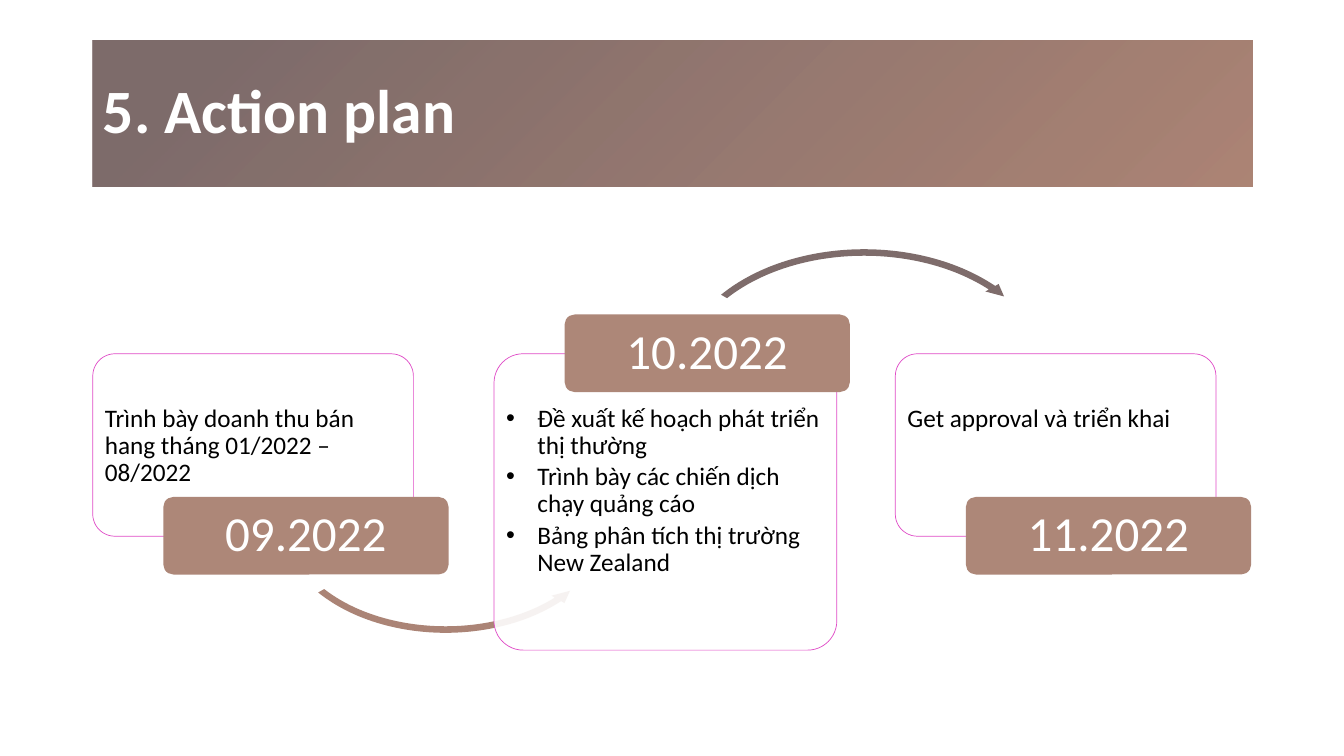
from dataclasses import dataclass
from typing import Optional

from lxml.etree import SubElement
from pptx import Presentation
from pptx.dml.color import RGBColor as RGB
from pptx.enum.shapes import MSO_SHAPE as SHAPE
from pptx.enum.text import MSO_ANCHOR as ANCHOR, MSO_AUTO_SIZE as AUTO, PP_ALIGN as ALIGN
from pptx.oxml import parse_xml
from pptx.oxml.ns import nsdecls, qn
from pptx.util import Inches, Pt


@dataclass(frozen=True)
class Theme:
    font: str = "Calibri"
    title_size: int = 44
    tag_size: int = 35
    body_size: int = 18
    white: str = "FFFFFF"
    black: str = "000000"
    tag: str = "AD8778"
    border: str = "E04CC7"
    arrow_dark: str = "7E6C6B"
    arrow_light: str = "AB8476"
    title_near: str = "9E6E5C"
    title_far: str = "675251"


@dataclass(frozen=True)
class Arrow:
    kind: SHAPE
    box: tuple[float, float, float, float]
    adjustments: tuple[float, ...]
    color: str


@dataclass(frozen=True)
class Step:
    date: str
    lines: tuple[str, ...]
    tag_top: float = 4.93
    size: tuple[float, float] = (3.18, 1.81)
    radius: float = 0.22
    bulleted: bool = False
    arrow: Optional[Arrow] = None


T = Theme()
LEFT, PITCH, CARD_TOP = 0.92, 3.98, 3.51
TAG_SHIFT, TAG_SIZE, TAG_RADIUS = 0.7, (2.83, 0.77), 0.1
CORNER_INSET = 0.29

STEPS = (
    Step("09.2022", ("Trình bày doanh thu bán hang tháng 01/2022 – 08/2022",),
         arrow=Arrow(SHAPE.LEFT_CIRCULAR_ARROW, (2.73, 4, 3.38, 2.32),
                     (0.028, 3.372, 21.127, 90.245, 0.032), T.arrow_light)),
    Step("10.2022", ("Đề xuất kế hoạch phát triển thị thường",
                     "Trình bày các chiến dịch chạy quảng cáo",
                     "Bảng phân tích thị trường New Zealand"),
         tag_top=3.12, size=(3.4, 2.94), radius=0.29, bulleted=True,
         arrow=Arrow(SHAPE.CIRCULAR_ARROW, (6.68, 2.43, 3.78, 2.6),
                     (0.025, 2.989, 195.256, 125.755, 0.029), T.arrow_dark)),
    Step("11.2022", ("Get approval và triển khai",)),
)


def add_filled(slide, kind: SHAPE, box: tuple[float, ...], color: str):
    """Add a borderless, shadowless shape with a solid fill."""
    sp = slide.shapes.add_shape(kind, *map(Inches, box))
    sp.shadow.inherit = False
    sp.fill.solid()
    sp.fill.fore_color.rgb = RGB.from_string(color)
    sp.line.fill.background()
    return sp


def add_rounded(slide, box: tuple[float, ...], radius: float, color: str,
                insets: tuple[float, float, float, float]):
    """Add a rounded box whose insets are measured from its outer edges."""
    sp = add_filled(slide, SHAPE.ROUNDED_RECTANGLE, box, color)
    sp.adjustments[0] = radius / min(box[2:])
    tf = sp.text_frame
    tf.word_wrap = True
    tf.margin_left, tf.margin_top, tf.margin_right, tf.margin_bottom = (
        Inches(i - radius * CORNER_INSET) for i in insets)
    return sp


def format_text(p, size: int, color: str, align: ALIGN, bold: bool = False) -> None:
    """Apply the common text look to a paragraph."""
    p.alignment = align
    p.line_spacing = 0.9
    for r in p.runs:
        r.font.name, r.font.size, r.font.bold = T.font, Pt(size), bold
        r.font.color.rgb = RGB.from_string(color)


def add_bullet(p) -> None:
    """Give a paragraph a hanging round bullet."""
    pPr = p._p.get_or_add_pPr()
    pPr.set("marL", str(Inches(0.31)))
    pPr.set("indent", str(Inches(-0.31)))
    SubElement(pPr, qn("a:buFont"), typeface="Arial")
    SubElement(pPr, qn("a:buChar"), char="•")


def add_card(slide, step: Step, left: float) -> None:
    """Draw the outlined card with the tasks of a step."""
    sp = add_rounded(slide, (left, CARD_TOP, *step.size), step.radius, T.white,
                     (0.12, 0.51, 0.12, 0.12))
    color = sp.element.spPr.find(qn("a:solidFill"))[0]
    SubElement(color, qn("a:alpha"), val="90000")
    sp.line.color.rgb = RGB.from_string(T.border)
    sp.line.width = Pt(0.5)
    tf = sp.text_frame
    tf.vertical_anchor = ANCHOR.TOP
    tf.text = "\n".join(step.lines)
    for p in tf.paragraphs:
        if step.bulleted:
            add_bullet(p)
        format_text(p, T.body_size, T.black, ALIGN.LEFT)
        p.space_after = Pt(3)


def add_arrow(slide, arrow: Arrow) -> None:
    """Draw the curved arrow leading to the next step."""
    sp = add_filled(slide, arrow.kind, arrow.box, arrow.color)
    for i, value in enumerate(arrow.adjustments):
        sp.adjustments[i] = value


def add_tag(slide, step: Step, left: float) -> None:
    """Draw the date tag of a step."""
    sp = add_rounded(slide, (left + TAG_SHIFT, step.tag_top, *TAG_SIZE), TAG_RADIUS,
                     T.tag, (0.11, 0.08, 0.11, 0.08))
    tf = sp.text_frame
    tf.vertical_anchor = ANCHOR.MIDDLE
    tf.text = step.date
    format_text(tf.paragraphs[0], T.tag_size, T.white, ALIGN.CENTER)


def format_title(sp, text: str) -> None:
    """Place the title and give it the translucent radial fill."""
    sp.left, sp.top, sp.width, sp.height = map(Inches, (LEFT, 0.4, 11.5, 1.45))
    sp.fill.gradient()
    spPr = sp.element.spPr
    stops = "".join(
        f'<a:gs pos="{pos}"><a:srgbClr val="{color}"><a:alpha val="{alpha}"/></a:srgbClr></a:gs>'
        for pos, color, alpha in ((0, T.title_near, 84000), (90000, T.title_far, 85000)))
    spPr.replace(spPr.find(qn("a:gradFill")), parse_xml(
        f'<a:gradFill {nsdecls("a")}><a:gsLst>{stops}</a:gsLst><a:path path="circle">'
        '<a:fillToRect l="100000" t="100000"/></a:path></a:gradFill>'))
    tf = sp.text_frame
    tf.text = text
    tf.word_wrap, tf.auto_size, tf.vertical_anchor = True, AUTO.NONE, ANCHOR.MIDDLE
    format_text(tf.paragraphs[0], T.title_size, T.white, ALIGN.LEFT, bold=True)


def main() -> None:
    """Build and save the action plan slide."""
    prs = Presentation()
    prs.slide_width, prs.slide_height = Inches(13.33), Inches(7.5)
    slide = prs.slides.add_slide(prs.slide_layouts[5])
    format_title(slide.shapes.title, "5. Action plan")
    for i, step in enumerate(STEPS):
        left = LEFT + i * PITCH
        add_card(slide, step, left)
        if step.arrow:
            add_arrow(slide, step.arrow)
        add_tag(slide, step, left)
    prs.save("out.pptx")


if __name__ == "__main__":
    main()
